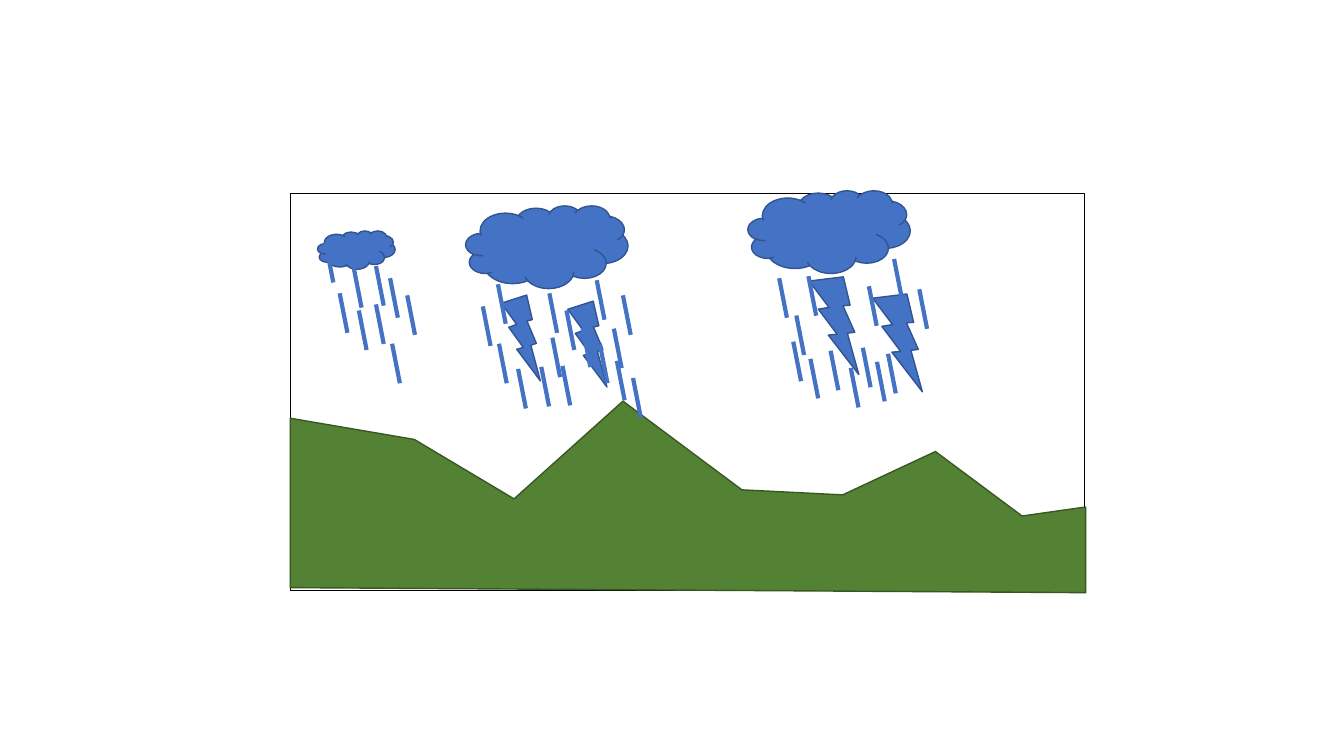
"""Draw a landscape with three rain clouds, lightning and a mountain ridge."""
from lxml.etree import SubElement
from pptx import Presentation
from pptx.dml.color import RGBColor
from pptx.enum.shapes import MSO_CONNECTOR as Connector, MSO_SHAPE as Shape
from pptx.oxml.ns import qn
from pptx.util import Inches, Pt

CELL = Inches(0.1)
COLUMNS, ROWS = 133.33, 75

WHITE = RGBColor(0xFF, 0xFF, 0xFF)
BLACK = RGBColor(0x00, 0x00, 0x00)
BLUE = RGBColor(0x44, 0x72, 0xC4)
DARK_BLUE = RGBColor(0x32, 0x54, 0x91)
GREEN = RGBColor(0x54, 0x82, 0x35)
DARK_GREEN = RGBColor(0x38, 0x57, 0x23)

FRAME = (28.8, 19.2, 78.8, 39.4)
RIDGE = [(28.8, 41.5), (41.1, 43.6), (51, 49.5), (61.8, 39.8), (73.6, 48.6),
         (83.6, 49.1), (92.8, 44.8), (101.4, 51.2), (107.7, 50.3),
         (107.7, 58.8), (28.8, 58.3)]
CLOUDS = [(46.2, 20.4, 16.1, 8.2), (31.5, 22.9, 7.7, 3.8), (74.2, 18.9, 16.1, 8.2)]
LARGE_BOLT = (7.8, 8.6, 19.9)
SMALL_BOLT = (5.7, 7.9, 14.6)
BOLTS = [(79.1, 27.5, LARGE_BOLT), (55.6, 29.9, SMALL_BOLT),
         (49, 29.3, SMALL_BOLT), (85.4, 29.2, LARGE_BOLT)]

DROP_WIDTH, DROP_HEIGHT = 0.77, 3.92
RIGHT_RAIN = [(77.3, 27.6), (79, 31.3), (78.7, 33.9), (80.4, 35.6), (84.4, 36.5),
              (86.2, 28.4), (85.6, 34.5), (82.4, 34.8), (88.1, 35.1),
              (91.2, 28.7), (88.7, 25.7), (87, 35.9), (80.2, 27.4)]
MIDDLE_RAIN = [(54.5, 29.1), (56.2, 30.8), (57.8, 32.5), (59.5, 34.1), (59.2, 27.8),
               (60.9, 32.6), (61.8, 29.3), (49.4, 28.2), (47.9, 30.4),
               (61.2, 35.8), (54.8, 33.5), (51.4, 36.6), (49.5, 34.1),
               (55.8, 36.3), (53.7, 36.4), (62.8, 37.5)]
LEFT_RAIN = [(35.1, 26.6), (38.7, 27.6), (40.4, 29.3), (37.3, 30.2), (33.7, 29.1),
             (35.6, 30.8), (37.3, 26.4), (38.9, 34.1), (32.3, 24.1)]


def cells(*counts):
    """Turn counts of grid cells into slide lengths."""
    return [round(count * CELL) for count in counts]


def set_format(target, values):
    """Set every named attribute of a target."""
    for name, value in values.items():
        setattr(target, name, value)


def paint(shape, fill, line):
    """Give a shape a plain fill and a thin outline without shadow."""
    shape.shadow.inherit = False
    shape.fill.solid()
    shape.line.fill.solid()
    set_format(shape.fill.fore_color, {"rgb": fill})
    set_format(shape.line.color, {"rgb": line})
    set_format(shape.line, {"width": Pt(1)})


def add_preset(scene, kind, place, fill, line, rotation=0):
    """Add a painted preset shape to the scene."""
    shape = scene.shapes.add_shape(kind, *cells(*place))
    set_format(shape, {"rotation": rotation})
    paint(shape, fill, line)


def add_ridge(scene):
    """Add the green mountain ridge."""
    points = [cells(*point) for point in RIDGE]
    builder = scene.shapes.build_freeform(*points[0], scale=1.0)
    builder.add_line_segments(points[1:], close=True)
    paint(builder.convert_to_shape(), GREEN, DARK_GREEN)


def add_drop(scene, left, top):
    """Add one slanted rain drop."""
    ends = cells(left, top, left + DROP_WIDTH, top + DROP_HEIGHT)
    drop = scene.shapes.add_connector(Connector.STRAIGHT, *ends)
    set_format(drop.line, {"width": Pt(3)})
    set_format(drop.line.color, {"rgb": BLUE})
    SubElement(drop.line._get_or_add_ln().getparent(), qn("a:effectLst"))


def main():
    """Build the slide and save the deck."""
    deck = Presentation()
    width, height = cells(COLUMNS, ROWS)
    set_format(deck, {"slide_width": width, "slide_height": height})
    page = deck.slides.add_slide(deck.slide_layouts[6])
    scene = page.shapes.add_group_shape()
    add_preset(scene, Shape.RECTANGLE, FRAME, WHITE, BLACK)
    add_ridge(scene)
    for cloud in CLOUDS:
        add_preset(scene, Shape.CLOUD, cloud, BLUE, DARK_BLUE)
    for left, top, (bolt_width, bolt_height, rotation) in BOLTS:
        place = (left, top, bolt_width, bolt_height)
        add_preset(scene, Shape.LIGHTNING_BOLT, place, BLUE, DARK_BLUE, rotation)
    for left, top in RIGHT_RAIN + MIDDLE_RAIN + LEFT_RAIN:
        add_drop(scene, left, top)
    deck.save("out.pptx")


if __name__ == "__main__":
    main()
